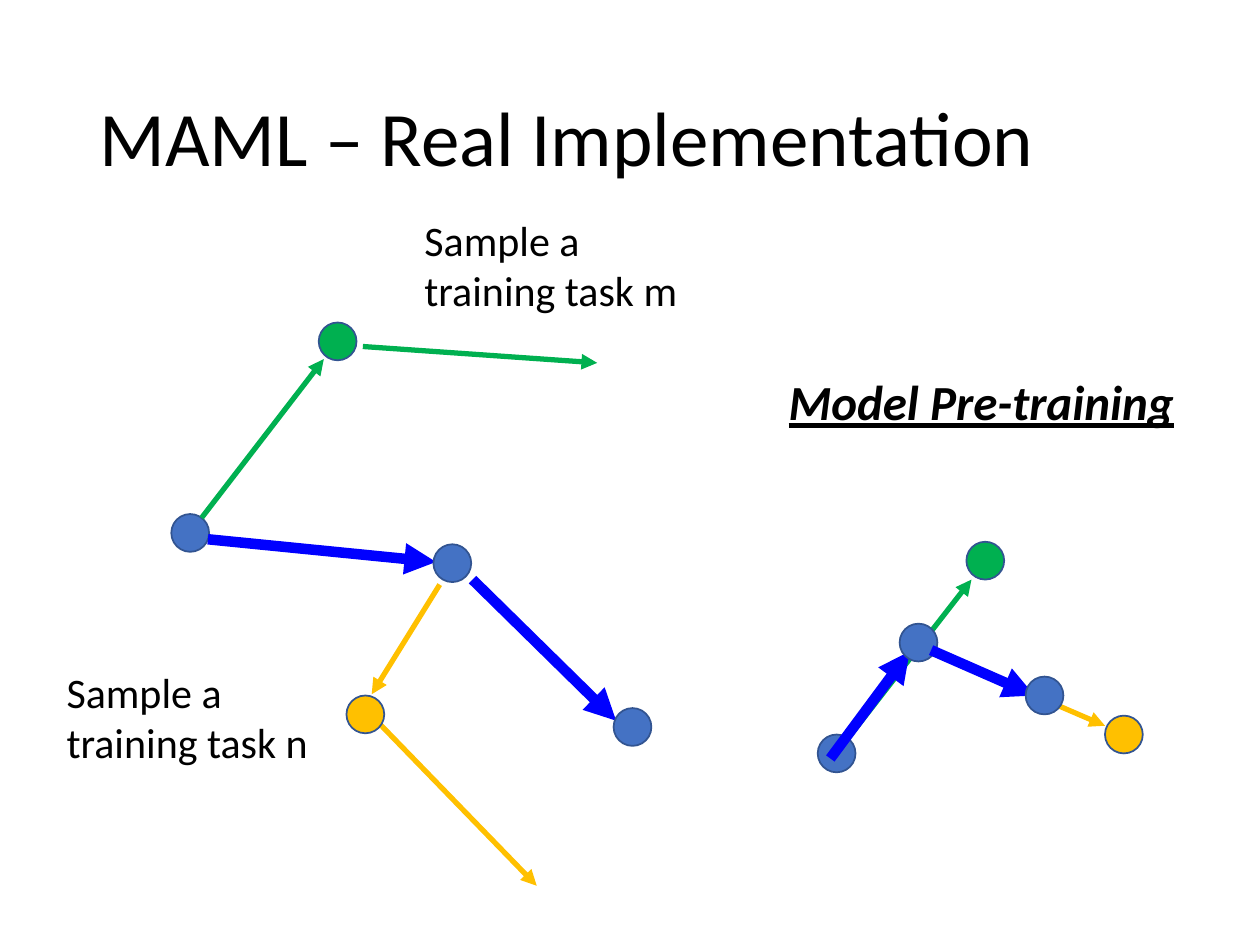
from typing import NamedTuple

from lxml.etree import SubElement
from pptx import Presentation
from pptx.dml.color import RGBColor
from pptx.enum.shapes import MSO_CONNECTOR, MSO_SHAPE
from pptx.enum.text import MSO_ANCHOR
from pptx.oxml.ns import qn
from pptx.util import Inches, Pt

HUES = {
    "model": "4472C4",
    "edge": "325491",
    "green": "00B050",
    "gold": "FFC000",
    "blue": "0000FF",
    "text": "000000",
}
SIZE = 0.3  # diameter of every dot
THIN, THICK = 3, 6


class Dot(NamedTuple):
    x: float
    y: float
    hue: str


class Arrow(NamedTuple):
    x1: float
    y1: float
    x2: float
    y2: float
    hue: str
    width: float = THIN


class Label(NamedTuple):
    text: str
    x: float
    y: float
    w: float
    h: float
    size: float
    strong: bool = False


def color(name: str) -> RGBColor:
    return RGBColor.from_string(HUES[name])


def draw_dot(slide, dot: Dot) -> None:
    shape = slide.shapes.add_shape(
        MSO_SHAPE.OVAL, Inches(dot.x), Inches(dot.y), Inches(SIZE), Inches(SIZE))
    shape.shadow.inherit = False
    shape.fill.solid()
    shape.fill.fore_color.rgb = color(dot.hue)
    shape.line.color.rgb = color("edge")
    shape.line.width = Pt(1)


def draw_arrow(slide, arrow: Arrow) -> None:
    link = slide.shapes.add_connector(
        MSO_CONNECTOR.STRAIGHT, Inches(arrow.x1), Inches(arrow.y1),
        Inches(arrow.x2), Inches(arrow.y2))
    link.line.color.rgb = color(arrow.hue)
    link.line.width = Pt(arrow.width)
    SubElement(link.line._get_or_add_ln(), qn("a:tailEnd"), type="triangle")
    SubElement(link._element.spPr, qn("a:effectLst"))


def draw_label(slide, label: Label):
    box = slide.shapes.add_textbox(
        Inches(label.x), Inches(label.y), Inches(label.w), Inches(label.h))
    frame = box.text_frame
    frame.word_wrap = True
    frame.text = label.text
    font = frame.paragraphs[0].runs[0].font
    font.name = "Calibri"
    font.size = Pt(label.size)
    font.color.rgb = color("text")
    if label.strong:
        font.bold = font.italic = font.underline = True
    return frame


# Title and captions
TITLE = Label("MAML – Real Implementation", 0.69, 0.4, 8.62, 1.45, 44)
LABELS = [
    Label("Sample a training task m", 3.27, 1.65, 2.29, 0.91, 24),
    Label("Sample a training task n", 0.43, 5.24, 2.21, 0.91, 24),
    Label("Model Pre-training", 6.16, 2.9, 3.61, 0.57, 28, True),
]

# MAML updates, back to front
MAML = [
    Dot(1.36, 4.08, "model"),
    Arrow(1.6, 4.11, 2.57, 2.85, "green"),
    Arrow(2.88, 2.75, 4.74, 2.88, "green"),
    Arrow(1.65, 4.28, 3.46, 4.46, "blue", THICK),
    Dot(3.44, 4.32, "model"),
    Arrow(3.49, 4.64, 2.95, 5.51, "gold"),
    Arrow(2.97, 5.7, 4.26, 7.03, "gold"),
    Arrow(3.75, 4.6, 4.89, 5.72, "blue", THICK),
    Dot(4.87, 5.62, "model"),
    Dot(2.75, 5.52, "gold"),
    Dot(2.53, 2.56, "green"),
]

# Pre-training updates, back to front
PRE = [
    Dot(6.49, 5.83, "model"),
    Arrow(6.73, 5.86, 7.71, 4.6, "green"),
    Dot(7.67, 4.3, "green"),
    Arrow(6.59, 6.02, 7.22, 5.17, "blue", THICK),
    Dot(7.14, 4.95, "model"),
    Arrow(7.4, 5.17, 8.77, 5.76, "gold"),
    Dot(8.77, 5.68, "gold"),
    Arrow(7.39, 5.16, 8.21, 5.52, "blue", THICK),
    Dot(8.14, 5.37, "model"),
]


def main() -> None:
    deck = Presentation()
    deck.slide_width, deck.slide_height = Inches(10), Inches(7.5)
    slide = deck.slides.add_slide(deck.slide_layouts[6])

    frame = draw_label(slide, TITLE)
    frame.vertical_anchor = MSO_ANCHOR.MIDDLE
    frame.paragraphs[0].line_spacing = 0.9

    for part in MAML + PRE:
        if isinstance(part, Dot):
            draw_dot(slide, part)
        else:
            draw_arrow(slide, part)
    for label in LABELS:
        draw_label(slide, label)

    deck.save("out.pptx")


if __name__ == "__main__":
    main()
